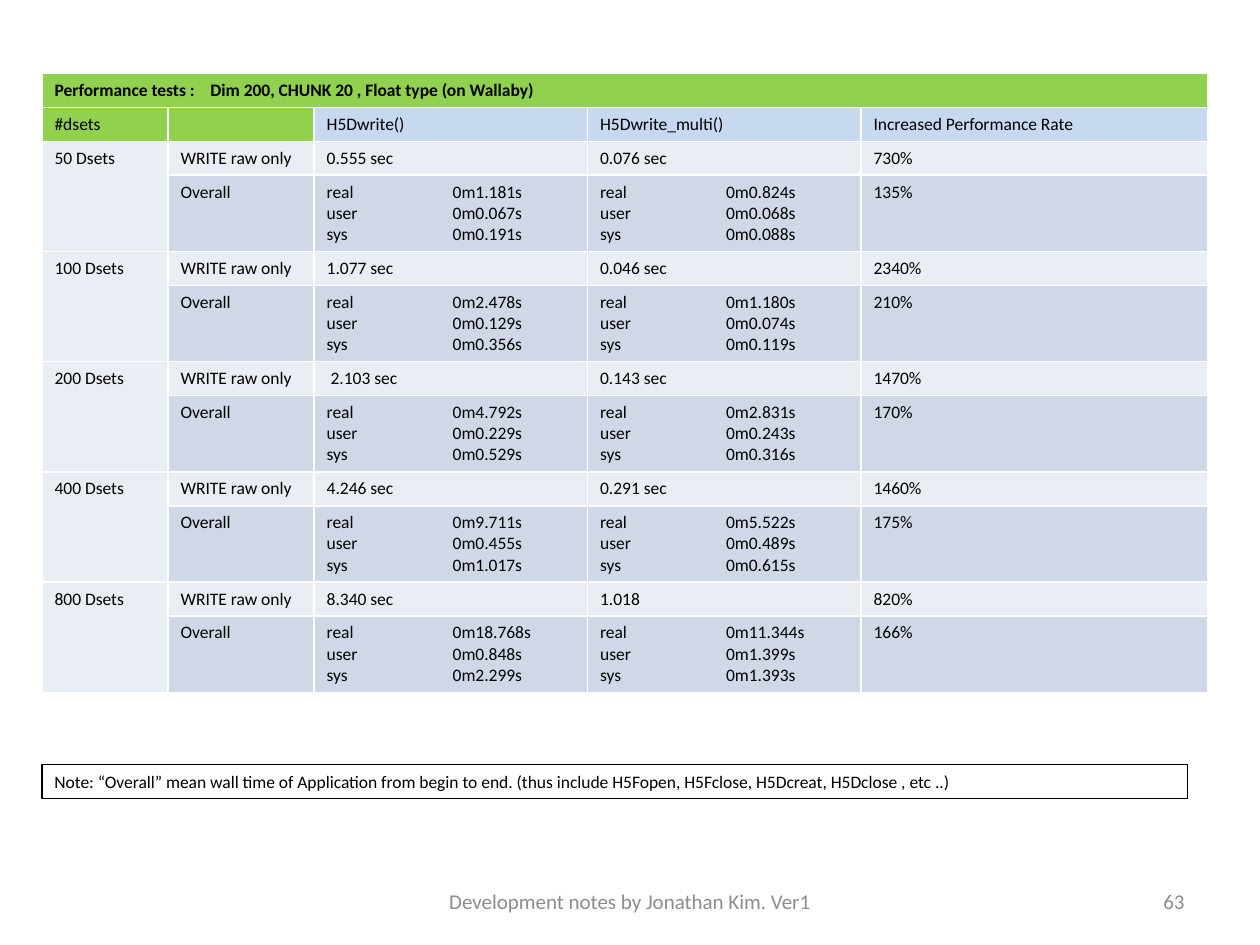
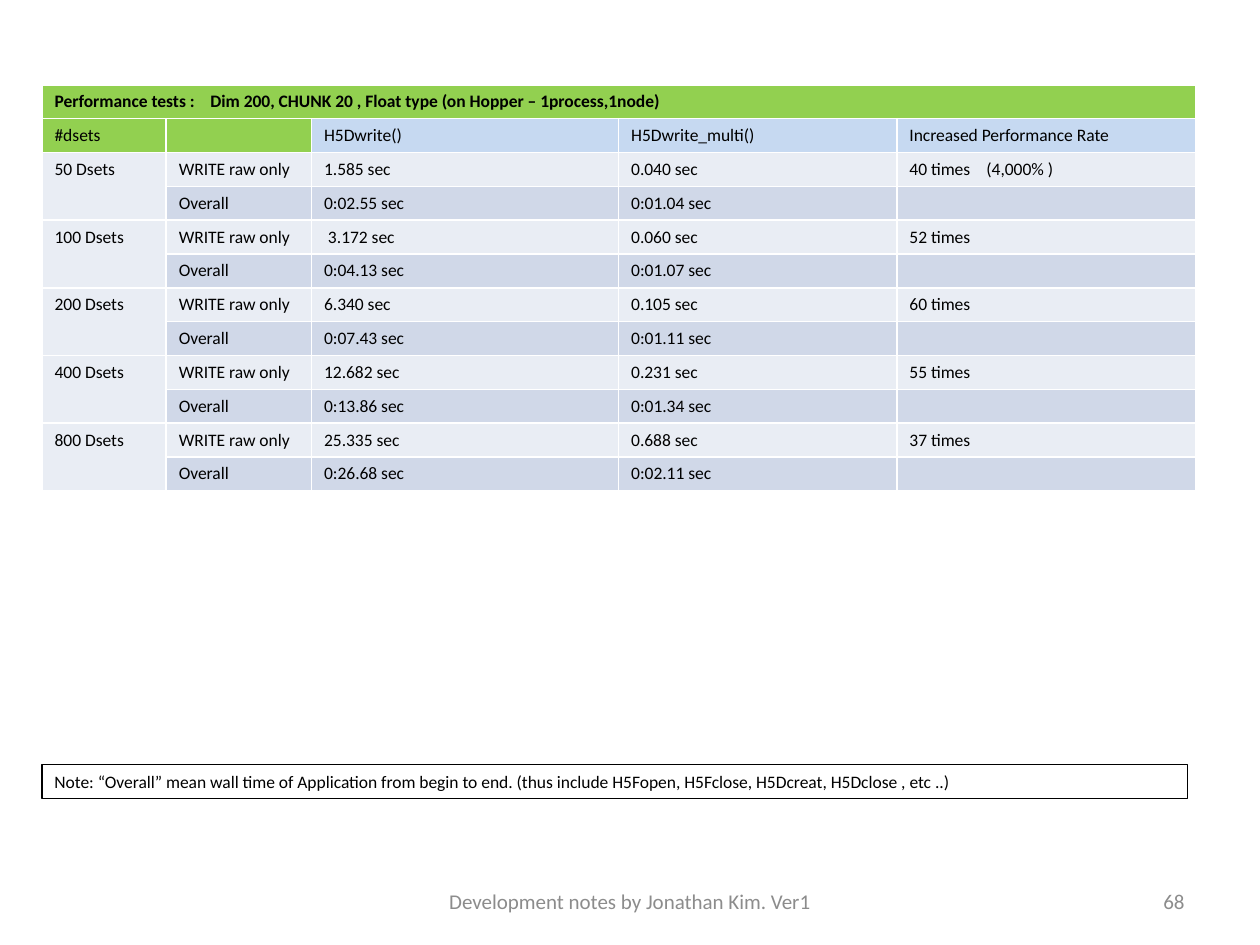
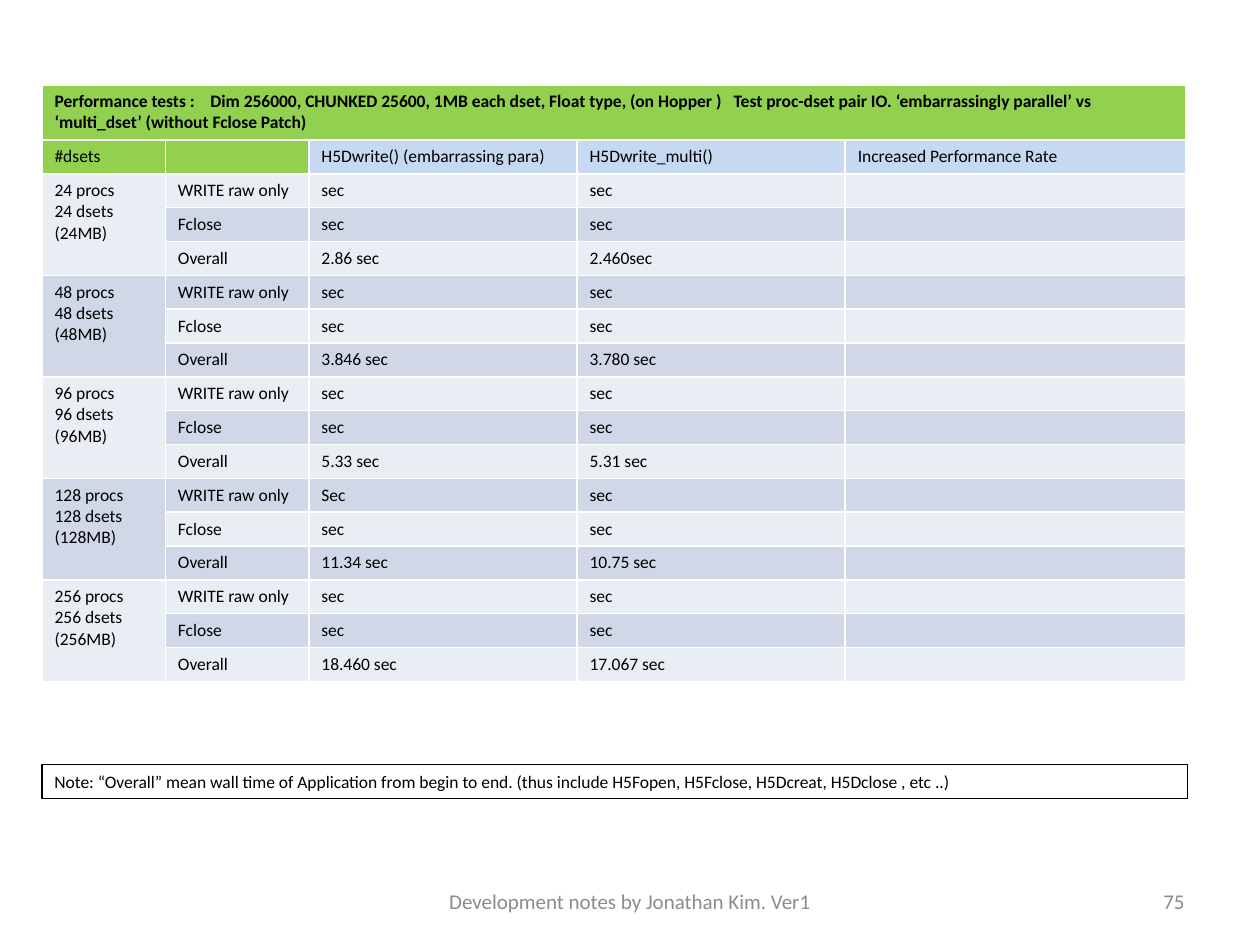
"""Builds three slides of write-timing tables with a note and a footer."""
from dataclasses import dataclass

from lxml import etree
from pptx import Presentation
from pptx.dml.color import RGBColor
from pptx.enum import shapes, text
from pptx.oxml import ns
from pptx.util import Pt


@dataclass(frozen=True)
class Theme:
    """Colours, font and type sizes of the deck."""
    ink: str = "000000"
    grey: str = "8C8C8C"
    green: str = "92D050"
    blue: str = "C6D9F1"
    bands: tuple = ("E9EDF4", "D0D8E8")
    font: str = "Calibri"
    small: float = 10
    foot: float = 12


THEME = Theme()
SIZE = (720, 540)
LEFT = 24
LINE, PAD = 12.15, 7.2
CLOCKS = ("real", "user", "sys")
NOTE = ("Note: “Overall” mean wall time of Application from begin to end. "
        "(thus include H5Fopen, H5Fclose, H5Dcreat, H5Dclose , etc ..)")
FOOT = "Development notes by Jonathan Kim. Ver1"
NOTE_BOX = (LEFT, 437, 654.5, 19.5)
FOOT_BOX = (246, 500.5, 228, 28.8)
PAGE_BOX = (516, 500.5, 168, 28.8)
TITLE_TABS = (89, 388)
BODY_TABS = {2: (72,), 3: (72,), 4: (44,)}

HEADS = ("#dsets", "", "H5Dwrite()", "H5Dwrite_multi()", "Increased Performance Rate")
PAIR = ("WRITE raw only", "Overall")
TRIO = ("WRITE raw only", "Fclose", "Overall")
IDLE = ("sec", "sec", "")

SLIDES = [
    dict(page="63", top=42, cols=(72, 83.5, 156.25, 156.25, 198), heads=HEADS, kinds=PAIR,
         title="Performance tests :\tDim 200, CHUNK 20 , Float type (on Wallaby)", lines=1,
         groups=[
             ("50 Dsets", ("0.555 sec", "0.076 sec", "730%"),
              (("0m1.181s", "0m0.067s", "0m0.191s"),
               ("0m0.824s", "0m0.068s", "0m0.088s"), "135%")),
             ("100 Dsets", ("1.077 sec", "0.046 sec", "2340%"),
              (("0m2.478s", "0m0.129s", "0m0.356s"),
               ("0m1.180s", "0m0.074s", "0m0.119s"), "210%")),
             ("200 Dsets", (" 2.103 sec", "0.143 sec", "1470%"),
              (("0m4.792s", "0m0.229s", "0m0.529s"),
               ("0m2.831s", "0m0.243s", "0m0.316s"), "170%")),
             ("400 Dsets", ("4.246 sec", "0.291 sec", "1460%"),
              (("0m9.711s", "0m0.455s", "0m1.017s"),
               ("0m5.522s", "0m0.489s", "0m0.615s"), "175%")),
             ("800 Dsets", ("8.340 sec", "1.018", "820%"),
              (("0m18.768s", "0m0.848s", "0m2.299s"),
               ("0m11.344s", "0m1.399s", "0m1.393s"), "166%")),
         ]),
    dict(page="68", top=48.5, cols=(71, 83, 175.5, 159, 171), heads=HEADS, kinds=PAIR,
         title="Performance tests :\tDim 200, CHUNK 20 , Float type "
               "(on Hopper – 1process,1node)", lines=1,
         groups=[
             ("50 Dsets", ("1.585 sec", "0.040 sec", "40 times\t(4,000% )"),
              ("0:02.55 sec", "0:01.04 sec", "")),
             ("100 Dsets", (" 3.172 sec", "0.060 sec", "52 times"),
              ("0:04.13 sec", "0:01.07 sec", "")),
             ("200 Dsets", ("6.340 sec", "0.105 sec", "60 times"),
              ("0:07.43 sec", "0:01.11 sec", "")),
             ("400 Dsets", ("12.682 sec", "0.231 sec", "55 times"),
              ("0:13.86 sec", "0:01.34 sec", "")),
             ("800 Dsets", ("25.335 sec", "0.688 sec", "37 times"),
              ("0:26.68 sec", "0:02.11 sec", "")),
         ]),
    dict(page="75", top=48.5, cols=(70.5, 82, 153.25, 153.25, 194.5), kinds=TRIO,
         heads=HEADS[:2] + ("H5Dwrite() (embarrassing para)",) + HEADS[3:],
         title="Performance tests :\tDim 256000, CHUNKED 25600, 1MB each dset, Float type, "
               "(on Hopper )\tTest proc-dset pair IO. ‘embarrassingly parallel’ vs "
               "‘multi_dset’ (without Fclose Patch)", lines=2,
         groups=[
             ("24 procs\n24 dsets\n(24MB)", IDLE, IDLE, ("2.86 sec", "2.460sec", "")),
             ("48 procs\n48 dsets\n(48MB)", IDLE, IDLE, ("3.846 sec", "3.780 sec", "")),
             ("96 procs\n96 dsets\n(96MB)", IDLE, IDLE, ("5.33 sec", "5.31 sec", "")),
             ("128 procs 128 dsets\n(128MB)", ("Sec", "sec", ""), IDLE,
              ("11.34 sec", "10.75 sec", "")),
             ("256 procs\n256 dsets\n(256MB)", IDLE, IDLE, ("18.460 sec", "17.067 sec", "")),
         ]),
]


def write(frame, words, size=THEME.small, ink=THEME.ink, bold=False,
          align=text.PP_ALIGN.LEFT, tabs=()):
    """Fill a text frame and style each of its paragraphs."""
    frame.word_wrap = True
    frame.text = words
    for para in frame.paragraphs:
        para.alignment = align
        if "\t" in para.text:
            stops = etree.SubElement(para._p.get_or_add_pPr(), ns.qn("a:tabLst"))
            for stop in tabs:
                etree.SubElement(stops, ns.qn("a:tab"), pos=str(Pt(stop)), algn="l")
        font = para.font
        font.name, font.size, font.bold = THEME.font, Pt(size), bold
        font.color.rgb = RGBColor.from_string(ink)
        if not para.text:
            etree.SubElement(para._p, ns.qn("a:endParaRPr"), sz=str(int(size * 100)))


def paint(cell, words, fill, **style):
    """Fill a table cell with a colour and text."""
    cell.fill.solid()
    cell.fill.fore_color.rgb = RGBColor.from_string(fill)
    write(cell.text_frame, words, **style)


def show(value):
    """Turn a triple of clock times into labelled lines."""
    if isinstance(value, tuple):
        return "\n".join(f"{name}\t{time}" for name, time in zip(CLOCKS, value))
    return value


def add_grid(slide, data):
    """Draw the timing table of one slide."""
    kinds, cols = data["kinds"], data["cols"]
    body = [(kind,) + tuple(map(show, row))
            for _, *rows in data["groups"] for kind, row in zip(kinds, rows)]
    lines = [data["lines"], 1] + [max(v.count("\n") + 1 for v in row) for row in body]
    highs = [LINE * count + PAD for count in lines]
    grid = slide.shapes.add_table(len(highs), len(cols), Pt(LEFT), Pt(data["top"]),
                                  Pt(sum(cols)), Pt(sum(highs))).table
    grid.horz_banding = False
    for col, wide in zip(grid.columns, cols):
        col.width = Pt(wide)
    for row, high in zip(grid.rows, highs):
        row.height = Pt(high)

    grid.cell(0, 0).merge(grid.cell(0, len(cols) - 1))
    paint(grid.cell(0, 0), data["title"], THEME.green, bold=True, tabs=TITLE_TABS)
    for c, head in enumerate(data["heads"]):
        paint(grid.cell(1, c), head, THEME.green if c < 2 else THEME.blue)
    for r, row in enumerate(body):
        for c, value in enumerate(row, 1):
            paint(grid.cell(r + 2, c), value, THEME.bands[r % 2], tabs=BODY_TABS.get(c, ()))
    for g, (label, *_) in enumerate(data["groups"]):
        first = g * len(kinds)
        cell = grid.cell(first + 2, 0)
        cell.merge(grid.cell(first + 1 + len(kinds), 0))
        paint(cell, label, THEME.bands[first % 2])


def add_note(slide):
    """Draw the outlined note under the table."""
    box = slide.shapes.add_shape(shapes.MSO_SHAPE.RECTANGLE, *map(Pt, NOTE_BOX))
    box.shadow.inherit = False
    box.fill.background()
    box.line.color.rgb = RGBColor.from_string(THEME.ink)
    box.line.width = Pt(0.75)
    box.text_frame.vertical_anchor = text.MSO_ANCHOR.TOP
    write(box.text_frame, NOTE)


def add_foot(slide, place, words, align):
    """Draw one grey footer text."""
    frame = slide.shapes.add_textbox(*map(Pt, place)).text_frame
    frame.vertical_anchor = text.MSO_ANCHOR.MIDDLE
    write(frame, words, THEME.foot, THEME.grey, align=align)


def main():
    """Build and save the deck."""
    deck = Presentation()
    deck.slide_width, deck.slide_height = map(Pt, SIZE)
    for data in SLIDES:
        slide = deck.slides.add_slide(deck.slide_layouts[6])
        add_grid(slide, data)
        add_note(slide)
        add_foot(slide, FOOT_BOX, FOOT, text.PP_ALIGN.CENTER)
        add_foot(slide, PAGE_BOX, data["page"], text.PP_ALIGN.RIGHT)
    deck.save("out.pptx")


if __name__ == "__main__":
    main()
